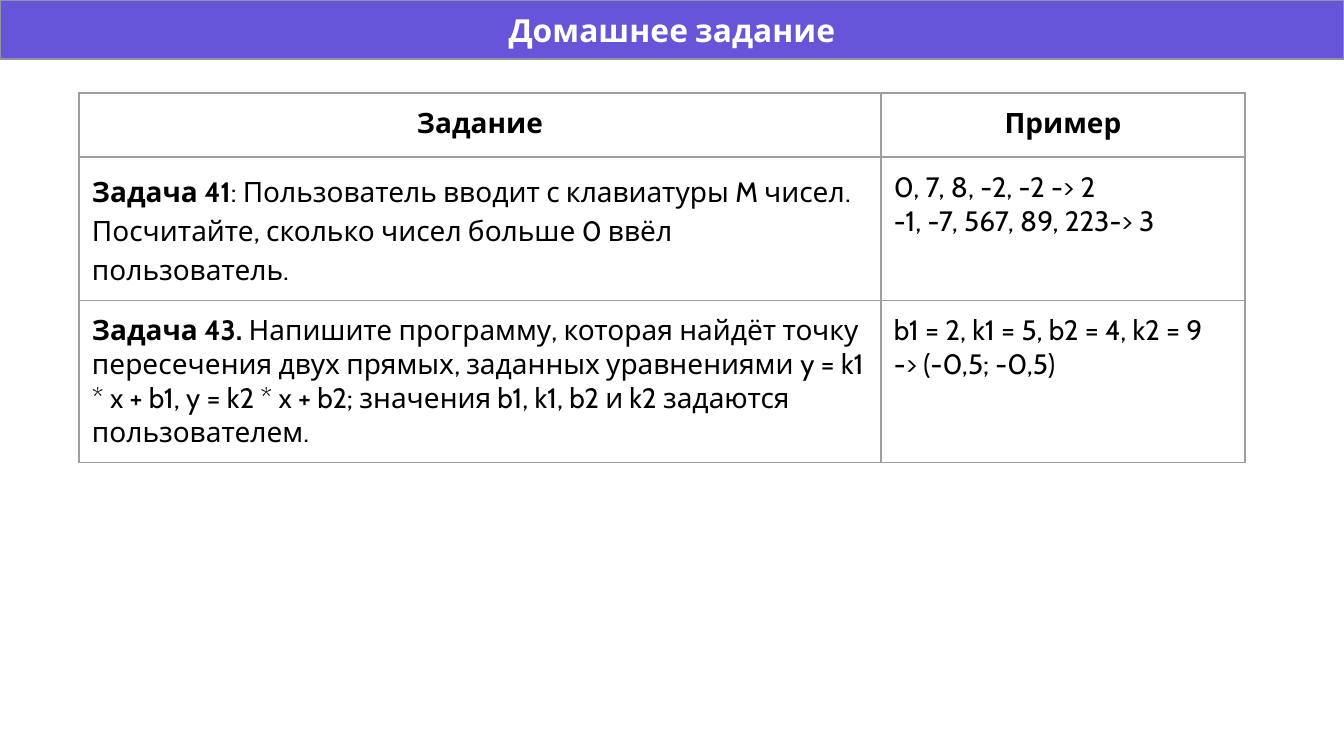
"""Build a homework slide with a title bar and a table of tasks."""
from dataclasses import dataclass

from lxml import etree
from pptx import Presentation
from pptx import util as u
from pptx.dml.color import RGBColor
from pptx.enum import shapes, text
from pptx.oxml.ns import qn


@dataclass(frozen=True)
class Theme:
    font: str = "Cabin"
    bar: str = "6654D9"
    edge: str = "8F93A3"
    grid: str = "9E9E9E"
    ink: str = "000000"
    light: str = "FFFFFF"
    head: int = 17
    body: int = 15
    line: float = 0.75


T = Theme()
WIDE, HIGH, PAD = 1344, 756, 13
COLS = [802, 364]
ROWS = [64, 64, 134]
MID = {"alignment": text.PP_ALIGN.CENTER}
LOOSE = {"line_spacing": 1.15, "space_before": u.Pt(12), "space_after": u.Pt(12)}

# Each cell holds paragraph formats and paragraphs of (words, bold) runs.
TASKS = [
    [(MID, [[("Задание", True)]]), (MID, [[("Пример", True)]])],
    [
        (LOOSE, [[
            ("Задача 41", True),
            (": Пользователь вводит с клавиатуры M чисел. Посчитайте, "
             "сколько чисел больше 0 ввёл пользователь.", False),
        ]]),
        ({}, [[("0, 7, 8, -2, -2 -> 2", False)],
              [("-1, -7, 567, 89, 223-> 3", False)]]),
    ],
    [
        ({}, [[
            ("Задача 43. ", True),
            ("Напишите программу, которая найдёт точку пересечения двух "
             "прямых, заданных уравнениями y = k1 * x + b1, y = k2 * x + b2; "
             "значения b1, k1, b2 и k2 задаются пользователем.", False),
        ]]),
        ({}, [[("b1 = 2, k1 = 5, b2 = 4, k2 = 9 -> (-0,5; -0,5)", False)]]),
    ],
]


def px(n):
    return u.Emu(round(n * 914400 / 134.4))


def put(obj, vals):
    for key, val in vals.items():
        setattr(obj, key, val)


def pad(obj):
    sides = ("left", "top", "right", "bottom")
    put(obj, {f"margin_{side}": px(PAD) for side in sides})


def write(frame, paras, form, size, color):
    for i, runs in enumerate(paras):
        para = frame.paragraphs[0] if i == 0 else frame.add_paragraph()
        put(para, form)
        for words, bold in runs:
            run = para.add_run()
            run.text = words
            put(run.font, {"name": T.font, "size": u.Pt(size), "bold": bold})
            run.font.color.rgb = RGBColor.from_string(color)


def add_bar(slide, words):
    bar = slide.shapes.add_shape(
        shapes.MSO_SHAPE.RECTANGLE, 0, 0, px(WIDE), px(59))
    bar.shadow.inherit = False
    bar.fill.solid()
    bar.fill.fore_color.rgb = RGBColor.from_string(T.bar)
    bar.line.color.rgb = RGBColor.from_string(T.edge)
    bar.line.width = u.Pt(T.line)
    frame = bar.text_frame
    pad(frame)
    put(frame, {"word_wrap": True, "vertical_anchor": text.MSO_ANCHOR.MIDDLE})
    write(frame, [[(words, True)]], MID, T.head, T.light)


def rule(cell):
    props = cell._tc.get_or_add_tcPr()
    for i, side in enumerate(("lnL", "lnR", "lnT", "lnB")):
        line = etree.Element(qn(f"a:{side}"), w=str(u.Pt(T.line)))
        fill = etree.SubElement(line, qn("a:solidFill"))
        etree.SubElement(fill, qn("a:srgbClr"), val=T.grid)
        props.insert(i, line)


def add_grid(slide, rows):
    grid = slide.shapes.add_table(
        len(ROWS), len(COLS), px(79), px(93), px(sum(COLS)), px(sum(ROWS))).table
    put(grid, {"first_row": False, "horz_banding": False})
    for col, wide in zip(grid.columns, COLS):
        col.width = px(wide)
    for row, high, cells in zip(grid.rows, ROWS, rows):
        row.height = px(high)
        for cell, (form, paras) in zip(row.cells, cells):
            pad(cell)
            cell.fill.background()
            rule(cell)
            write(cell.text_frame, paras, form, T.body, T.ink)


def main():
    deck = Presentation()
    put(deck, {"slide_width": px(WIDE), "slide_height": px(HIGH)})
    slide = deck.slides.add_slide(deck.slide_layouts[6])
    add_bar(slide, "Домашнее задание")
    add_grid(slide, TASKS)
    deck.save("out.pptx")


if __name__ == "__main__":
    main()
